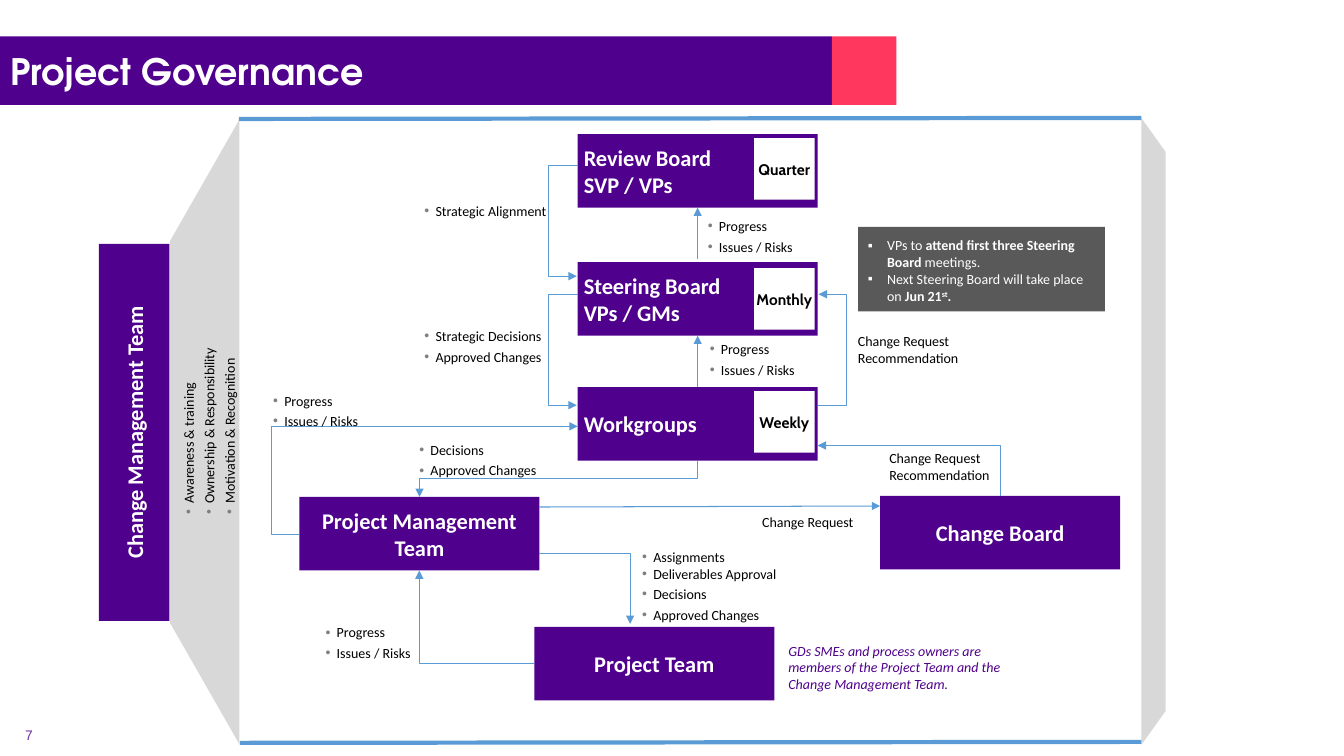
from lxml.etree import SubElement
from pptx import Presentation
from pptx.dml.color import RGBColor
from pptx.enum.shapes import MSO_CONNECTOR as Link, MSO_SHAPE as Preset
from pptx.enum.text import MSO_ANCHOR as Anchor, MSO_AUTO_SIZE as AutoSize, PP_ALIGN as Align
from pptx.oxml.ns import qn
from pptx.util import Inches, Pt

PURPLE = RGBColor(0x4F, 0x00, 0x8C)
NUMBER_PURPLE = RGBColor(0x70, 0x30, 0xA0)
PINK = RGBColor(0xFF, 0x37, 0x5E)
BLUE = RGBColor(0x5B, 0x9B, 0xD5)
LIGHT_GREY = RGBColor(0xD8, 0xD8, 0xD8)
MID_GREY = RGBColor(0x7F, 0x7F, 0x7F)
DARK_GREY = RGBColor(0x59, 0x59, 0x59)
WHITE = RGBColor(0xFF, 0xFF, 0xFF)
BLACK = RGBColor(0x00, 0x00, 0x00)

deck = Presentation()
deck.slide_width, deck.slide_height = Inches(13.33), Inches(7.5)
page = deck.slides.add_slide(deck.slide_layouts[5])


def add_block(preset, left, top, width, height, color):
    block = page.shapes.add_shape(preset, Inches(left), Inches(top), Inches(width), Inches(height))
    block.shadow.inherit = False
    block.fill.solid()
    block.fill.fore_color.rgb = color
    block.line.fill.background()
    return block


def write(shape, text, size=10, color=BLACK, bold=None, font="Calibri", align=Align.LEFT,
          anchor=Anchor.TOP, margins=(0, 0), bullet=None, indent=0.11, gap=2.6):
    frame = shape.text_frame
    frame.text = text
    frame.word_wrap = True
    frame.auto_size = AutoSize.NONE
    frame.vertical_anchor = anchor
    frame.margin_left = frame.margin_right = Inches(margins[0])
    frame.margin_top = frame.margin_bottom = Inches(margins[1])
    for index, para in enumerate(frame.paragraphs):
        para.alignment = align
        for span in para.runs:
            span.font.size, span.font.name, span.font.bold = Pt(size), font, bold
            span.font.color.rgb = color
        if bullet:
            para.space_before = Pt(gap if index else 0)
            props = para._p.get_or_add_pPr()
            props.set("marL", str(Inches(indent)))
            props.set("indent", str(-Inches(indent)))
            tint = SubElement(props, qn("a:buClr"))
            shade = MID_GREY if bullet == "•" else color
            SubElement(tint, qn("a:srgbClr")).set("val", str(shade))
            SubElement(props, qn("a:buFont")).set("typeface", "Arial")
            SubElement(props, qn("a:buChar")).set("char", bullet)
    return frame


title = page.shapes.title
title.left, title.top, title.width, title.height = Inches(0), Inches(0.36), Inches(8.25), Inches(0.68)
title.fill.solid()
title.fill.fore_color.rgb = PURPLE
write(title, "Project Governance", 26, WHITE, True, "TeX Gyre Adventor",
      anchor=Anchor.MIDDLE, margins=(0.1, 0.05))
add_block(Preset.RECTANGLE, 8.25, 0.36, 0.64, 0.68, PINK)

for left, top, width, height, turn, slope in [
    (-1.07, 3.94, 6.2, 0.69, 270, 1.75),
    (8.33, 4.16, 6.22, 0.24, 90, 1.4),
]:
    side = add_block(Preset.TRAPEZOID, left, top, width, height, LIGHT_GREY)
    side.rotation = turn
    side.adjustments[0] = slope

for left, top, name, align in [
    (5.73, 1.33, "Review Board\nSVP / VPs", Align.LEFT),
    (5.73, 2.6, "Steering Board\nVPs / GMs", Align.LEFT),
    (5.73, 3.84, "Workgroups", Align.LEFT),
    (2.97, 4.93, "Project Management Team", Align.CENTER),
    (8.73, 4.92, "Change Board", Align.CENTER),
    (5.3, 6.22, "Project Team", Align.CENTER),
]:
    team = add_block(Preset.RECTANGLE, left, top, 2.38, 0.73, PURPLE)
    write(team, name, 16, WHITE, True, align=align, anchor=Anchor.MIDDLE, margins=(0.06, 0.03))

change_team = add_block(Preset.RECTANGLE, -0.54, 3.94, 3.74, 0.7, PURPLE)
change_team.rotation = 270
write(change_team, "Change Management Team", 16, WHITE, True,
      align=Align.CENTER, anchor=Anchor.MIDDLE, margins=(0.06, 0.03))

for top, rhythm in [(1.37, "Quarter"), (2.66, "Monthly"), (3.88, "Weekly")]:
    badge = add_block(Preset.RECTANGLE, 7.48, top, 0.6, 0.61, WHITE)
    write(badge, rhythm, 11, BLACK, True, "Cabin", Align.CENTER, Anchor.MIDDLE, (0, 0.05))

STRAIGHT, CORNER, STEP, DROP = "line", "bentConnector2", "bentConnector3", "turned"
for route, x1, y1, x2, y2, bend, arrow in [
    (STRAIGHT, 2.37, 1.18, 11.32, 1.17, None, None),
    (STRAIGHT, 2.38, 7.37, 11.32, 7.36, None, None),
    (STRAIGHT, 5.35, 5.03, 8.73, 5.02, None, "tailEnd"),
    (STRAIGHT, 6.92, 3.84, 6.92, 3.33, None, "tailEnd"),
    (STRAIGHT, 6.92, 2.57, 6.92, 2.06, None, "tailEnd"),
    (CORNER, 8.11, 4.42, 9.92, 4.92, None, "headEnd"),
    (CORNER, 5.3, 6.58, 4.16, 5.66, None, "tailEnd"),
    (CORNER, 5.35, 5.49, 6.25, 6.19, None, "tailEnd"),
    (STEP, 2.97, 5.3, 5.73, 4.23, 2.69, "tailEnd"),
    (STEP, 5.73, 1.64, 5.72, 2.74, 5.44, "tailEnd"),
    (STEP, 5.73, 2.92, 5.72, 4.02, 5.44, "tailEnd"),
    (STEP, 8.11, 4.02, 8.12, 2.92, 8.4, "tailEnd"),
    (DROP, 5.36, 3.37, 5.72, 6.13, None, "tailEnd"),
]:
    kind = Link.STRAIGHT if route == STRAIGHT else Link.ELBOW
    arm = page.shapes.add_connector(kind, Inches(x1), Inches(y1), Inches(x2), Inches(y2))
    arm.line.color.rgb = BLUE
    arm.line.width = Pt(0.75 if arrow else 3)
    props = arm._element.spPr
    SubElement(props, qn("a:effectLst"))
    if arrow:
        SubElement(props.find(qn("a:ln")), qn(f"a:{arrow}")).set("type", "triangle")
    outline = props.find(qn("a:prstGeom"))
    if route == CORNER:
        outline.set("prst", CORNER)
    if route == DROP:
        props.find(qn("a:xfrm")).set("rot", "5400000")
    if bend:
        guide = SubElement(outline.find(qn("a:avLst")), qn("a:gd"))
        guide.set("name", "adj1")
        guide.set("fmla", f"val {round((bend - x1) / (x2 - x1) * 100000)}")

REPORT = "Progress\nIssues / Risks"
REQUEST = "Change Request\nRecommendation"
for left, top, width, height, text, bullet, turn in [
    (7.56, 5.09, 1, 0.16, "Change Request", None, 0),
    (8.82, 4.46, 2.4, 0.35, REQUEST, None, 0),
    (8.51, 3.3, 2.4, 0.35, REQUEST, None, 0),
    (3.23, 6.19, 0.91, 0.35, REPORT, "•", 0),
    (2.71, 3.89, 0.91, 0.54, REPORT, "•", 0),
    (7.04, 3.38, 0.91, 0.35, REPORT, "•", 0),
    (7.02, 2.16, 0.91, 0.35, REPORT, "•", 0),
    (4.16, 4.38, 1.25, 0.35, "Decisions\nApproved Changes", "•", 0),
    (4.21, 3.25, 1.25, 0.35, "Strategic Decisions\nApproved Changes", "•", 0),
    (4.21, 2.01, 1.55, 0.2, "Strategic Alignment", "•", 0),
    (1.35, 3.66, 1.88, 1.01,
     "Awareness & training\nOwnership & Responsibility\nMotivation & Recognition", "•", 270),
    (6.37, 5.44, 2.66, 0.74,
     "Assignments\nDeliverables Approval\nDecisions\nApproved Changes", "•", 0),
]:
    box = page.shapes.add_textbox(Inches(left), Inches(top), Inches(width), Inches(height))
    box.rotation = turn
    label = write(box, text, bullet=bullet)
    if text.startswith("Assignments"):
        label.paragraphs[1].space_before = Pt(0)

remark = page.shapes.add_textbox(Inches(7.82), Inches(6.37), Inches(2.32), Inches(0.52))
remark_text = write(remark, "GDs SMEs and process owners are members of the Project Team and the "
                    "Change Management Team.", color=PURPLE)
remark_text.paragraphs[0].runs[0].font.italic = True

notice = add_block(Preset.RECTANGLE, 8.51, 2.25, 2.45, 0.84, DARK_GREY)
notice_text = write(notice, "VPs to \nNext Steering Board will take place on ", color=WHITE,
                    margins=(0.1, 0.1), bullet="▪", indent=0.19, gap=0)
for row, words, bold in [
    (0, "attend first three Steering Board", True),
    (0, " meetings.", False),
    (1, "Jun 21", True),
    (1, "st", True),
    (1, ".", True),
]:
    span = notice_text.paragraphs[row].add_run()
    span.text = words
    span.font.size, span.font.name, span.font.bold = Pt(10), "Calibri", bold
    span.font.color.rgb = WHITE
    if words == "st":
        span.font._element.set("baseline", "30000")

number = page.shapes.add_textbox(Inches(0.15), Inches(7.19), Inches(0.49), Inches(0.2))
write(number, "7", 9.9, NUMBER_PURPLE, font="Arial", align=Align.JUSTIFY,
      anchor=Anchor.MIDDLE, margins=(0.1, 0))

deck.save("out.pptx")
